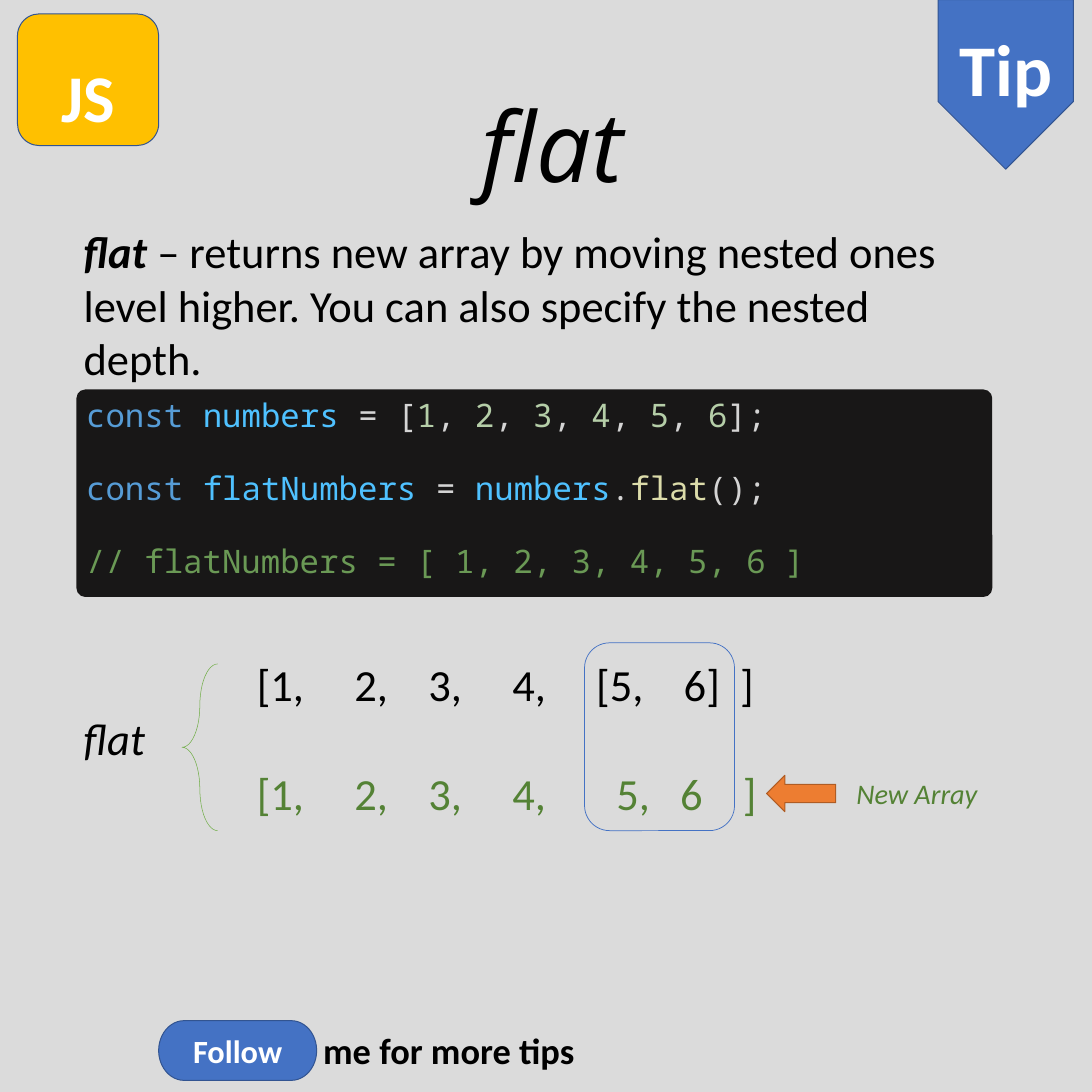
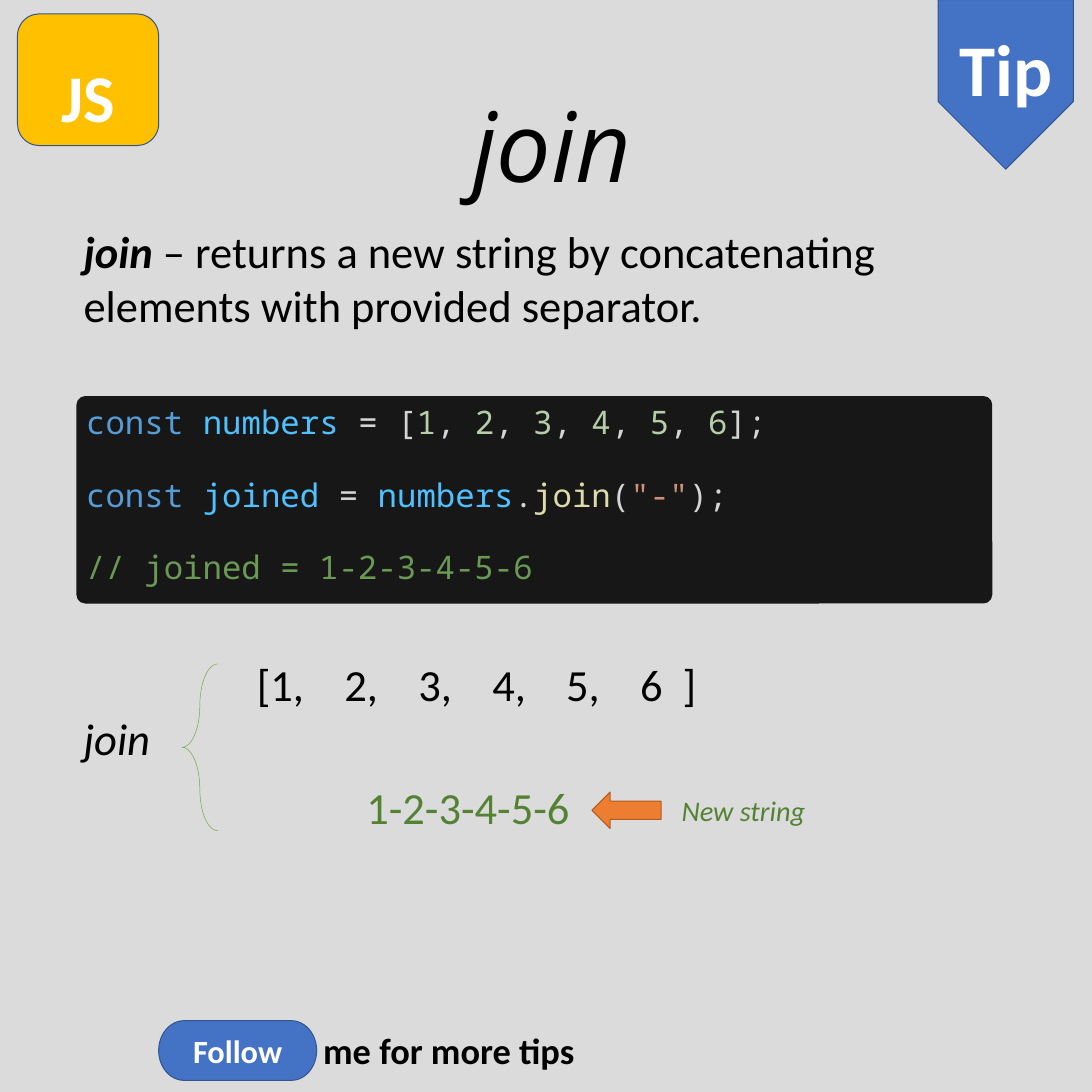
"""Build two square tip cards about JavaScript array methods."""
from lxml import etree
from pptx import Presentation
from pptx.dml.color import RGBColor
from pptx.enum.shapes import MSO_SHAPE
from pptx.enum.text import MSO_ANCHOR, MSO_AUTO_SIZE, PP_ALIGN
from pptx.oxml.ns import qn
from pptx.util import Pt

ROUND_RECT = MSO_SHAPE.ROUNDED_RECTANGLE
PENTAGON = MSO_SHAPE.PENTAGON
TERMINATOR = MSO_SHAPE.FLOWCHART_TERMINATOR
LEFT_BRACE = MSO_SHAPE.LEFT_BRACE
LEFT_ARROW = MSO_SHAPE.LEFT_ARROW
TOP, MIDDLE, BOTTOM = MSO_ANCHOR.TOP, MSO_ANCHOR.MIDDLE, MSO_ANCHOR.BOTTOM
LEFT, CENTER = PP_ALIGN.LEFT, PP_ALIGN.CENTER
NO_AUTOFIT = MSO_AUTO_SIZE.NONE

GREY = RGBColor(0xDB, 0xDB, 0xDB)
BLACK = RGBColor(0x00, 0x00, 0x00)
WHITE = RGBColor(0xFF, 0xFF, 0xFF)
BLUE = RGBColor(0x44, 0x72, 0xC4)
NAVY = RGBColor(0x32, 0x54, 0x91)
YELLOW = RGBColor(0xFF, 0xC0, 0x00)
ORANGE = RGBColor(0xED, 0x7D, 0x31)
BROWN = RGBColor(0xAF, 0x5C, 0x24)
GREEN = RGBColor(0x70, 0xAD, 0x47)
DARK_GREEN = RGBColor(0x54, 0x82, 0x35)
CODE_BACK = RGBColor(0x18, 0x17, 0x17)
KEYWORD = RGBColor(0x56, 0x9C, 0xD6)
VARIABLE = RGBColor(0x4F, 0xC1, 0xFF)
PLAIN = RGBColor(0xD4, 0xD4, 0xD4)
NUMBER = RGBColor(0xB5, 0xCE, 0xA8)
METHOD = RGBColor(0xDC, 0xDC, 0xAA)
STRING = RGBColor(0xCE, 0x91, 0x78)
COMMENT = RGBColor(0x6A, 0x99, 0x55)

BODY, HEADING, MONO = "Calibri", "Open Sans", "Noto Sans Mono"
SIDE = 1080
MARGIN, CONTENT_W = 75.6, 905.76
TITLE_BOX = (169.2, 81.36, 753.84, 123.84)
DIAGRAM_TOP = 645.84


def add_run(p, text, size, color, font=BODY, bold=False, italic=False):
    """Append one formatted run to a paragraph."""
    r = p.add_run()
    r.text = text
    r.font.name, r.font.size = font, Pt(size)
    r.font.bold, r.font.italic = bold, italic
    r.font.color.rgb = color


def add_text(s, box, text, size, color, wrap=True, **style):
    """Add a text box with one run and return its paragraph."""
    tf = s.shapes.add_textbox(*map(Pt, box)).text_frame
    tf.word_wrap = wrap
    p = tf.paragraphs[0]
    add_run(p, text, size, color, **style)
    return p


def add_shape(s, kind, box, fill=None, line=None, width=1, adj=()):
    """Add a flat preset shape with optional fill and line."""
    sp = s.shapes.add_shape(kind, *map(Pt, box))
    sp.shadow.inherit = False
    for i, value in enumerate(adj):
        sp.adjustments[i] = value
    if fill is None:
        sp.fill.background()
    else:
        sp.fill.solid()
        sp.fill.fore_color.rgb = fill
    if line is None:
        sp.line.fill.background()
    else:
        sp.line.color.rgb = line
        sp.line.width = Pt(width)
    return sp


def add_label(s, kind, box, text, size, fill, anchor=MIDDLE):
    """Add a shape with a bold white centred label."""
    sp = add_shape(s, kind, box, fill, NAVY)
    tf = sp.text_frame
    tf.vertical_anchor = anchor
    p = tf.paragraphs[0]
    p.alignment = CENTER
    add_run(p, text, size, WHITE, bold=True)
    return sp


def add_title(s, text, box):
    """Move and format the title placeholder."""
    title = s.shapes.title
    title.left, title.top, title.width, title.height = map(Pt, box)
    tf = title.text_frame
    tf.auto_size, tf.vertical_anchor, tf.word_wrap = NO_AUTOFIT, TOP, True
    p = tf.paragraphs[0]
    p.alignment = CENTER
    add_run(p, text, 96, BLACK, HEADING, italic=True)


def add_badges(s):
    """Place the language badge and the tip ribbon at the top corners."""
    add_label(s, ROUND_RECT, (17.28, 13.68, 139.68, 130.32), "JS", 66, YELLOW, BOTTOM)
    ribbon = add_label(s, PENTAGON, (910.8, 16.56, 167.76, 133.92), "Tip", 72, BLUE)
    ribbon.rotation = 90
    ribbon.text_frame._txBody.bodyPr.set("vert", "vert270")


def add_footer(s, x, y):
    """Place the follow button and its caption."""
    add_label(s, TERMINATOR, (x, y, 156.24, 59.04), "Follow", 32, BLUE)
    add_text(s, (x + 155.52, y + 3.6, 265.68, 51.12), "me for more tips", 36, BLACK,
             wrap=False, bold=True)


def add_code(s, box, lines):
    """Place the code panel, one paragraph for each statement."""
    tf = add_shape(s, ROUND_RECT, box, CODE_BACK, adj=[0.042]).text_frame
    tf.vertical_anchor = TOP
    for i, tokens in enumerate(lines):
        p = tf.add_paragraph() if i else tf.paragraphs[0]
        p.alignment = LEFT
        p.space_before = Pt(33.5 if i else 0)
        for text, color in tokens:
            add_run(p, text, 32, color, MONO)


def add_array(s, box, items, stops, color):
    """Place array items in one line, aligned on tab stops."""
    p = add_text(s, box, "\t".join(items), 44, color)
    tabs = etree.SubElement(p._p.get_or_add_pPr(), qn("a:tabLst"))
    for stop in stops:
        etree.SubElement(tabs, qn("a:tab"), pos=str(Pt(stop)), algn="l")


def add_diagram(s, x, y, name, items, stops):
    """Place the method name, the brace and the input array."""
    add_shape(s, LEFT_BRACE, (x + 104.4, y + 10.8, 35.28, 164.88),
              line=GREEN, width=0.5, adj=[1.697, 0.5])
    add_text(s, (x, y + 54, 252.72, 60.48), name, 44, BLACK, italic=True)
    add_array(s, (x + 171.36, y, 532.08, 60.48), items, stops, BLACK)


def add_pointer(s, x, y, note):
    """Place an arrow pointing left with a note behind it."""
    add_shape(s, LEFT_ARROW, (x, y, 68.4, 36), ORANGE, BROWN)
    add_text(s, (x + 81.7, y - 2.5, 197.28, 41.04), note, 28, DARK_GREEN, italic=True)


def declare_numbers():
    """Return the code tokens that declare the numbers array."""
    tokens = [("const ", KEYWORD), ("numbers", VARIABLE), (" = [", PLAIN)]
    for n in range(1, 7):
        tokens += [(str(n), NUMBER), (", " if n < 6 else "];", PLAIN)]
    return tokens


def call_method(result, method, arguments):
    """Return the code tokens that store the result of a method call."""
    return [("const ", KEYWORD), (result, VARIABLE), (" = ", PLAIN),
            ("numbers", VARIABLE), (".", PLAIN), (method, METHOD), *arguments]


def add_card(prs, name, description, code_top, call, comment):
    """Add a slide with title, description, code, badges and footer."""
    s = prs.slides.add_slide(prs.slide_layouts[5])
    add_title(s, name, TITLE_BOX)
    add_badges(s)
    add_footer(s, 156.96, 1009.44)
    add_code(s, (MARGIN, code_top, CONTENT_W, 205.2),
             [declare_numbers(), call, [(comment, COMMENT)]])
    p = add_text(s, (MARGIN, 218.16, CONTENT_W, 167.04), name, 44, BLACK,
                 bold=True, italic=True)
    add_run(p, " \u2013 " + description, 44, BLACK)
    return s


def flat_slide(prs):
    """Build the card about flat."""
    s = add_card(prs, "flat",
                 "returns new array by moving nested ones level higher. "
                 "You can also specify the nested depth.",
                 385.2, call_method("flatNumbers", "flat", [("();", PLAIN)]),
                 "// flatNumbers = [ 1, 2, 3, 4, 5, 6 ]")
    x, y = MARGIN, DIAGRAM_TOP
    shared = [96.5, 169.6, 252.6]
    add_shape(s, ROUND_RECT, (x + 502.56, y - 10.08, 148.32, 185.76),
              line=BLUE, width=0.75)
    add_diagram(s, x, y, "flat", ["[1,", "2,", "3,", "4,", "[5,", "6]", "]"],
                shared + [335.6, 422.2, 477.9])
    add_array(s, (x + 171.36, y + 108, 532.08, 60.48),
              ["[1,", "2,", "3,", "4,", "5,", "6", "]"],
              shared + [355.5, 418.6, 480.7], DARK_GREEN)
    add_pointer(s, x + 682.56, y + 120.96, "New Array")


def join_slide(prs):
    """Build the card about join."""
    s = add_card(prs, "join",
                 "returns a new string by concatenating elements with provided separator.",
                 391.68, call_method("joined", "join",
                                     [("(", PLAIN), ('"-"', STRING), (");", PLAIN)]),
                 "// joined = 1-2-3-4-5-6")
    x, y = MARGIN, DIAGRAM_TOP
    add_diagram(s, x, y, "join", ["[1,", "2,", "3,", "4,", "5,", "6", "]"],
                [86.6 + 73.1 * i for i in range(5)] + [421.2])
    add_text(s, (x + 279.6, y + 122.4, 307.2, 60.48), "1-2-3-4-5-6", 44, DARK_GREEN)
    add_pointer(s, x + 509.76, y + 137.52, "New string")


def main():
    """Create the presentation and save it."""
    prs = Presentation()
    prs.slide_width = prs.slide_height = Pt(SIDE)
    fill = prs.slide_master.background.fill
    fill.solid()
    fill.fore_color.rgb = GREY
    flat_slide(prs)
    join_slide(prs)
    prs.save("out.pptx")


main()
